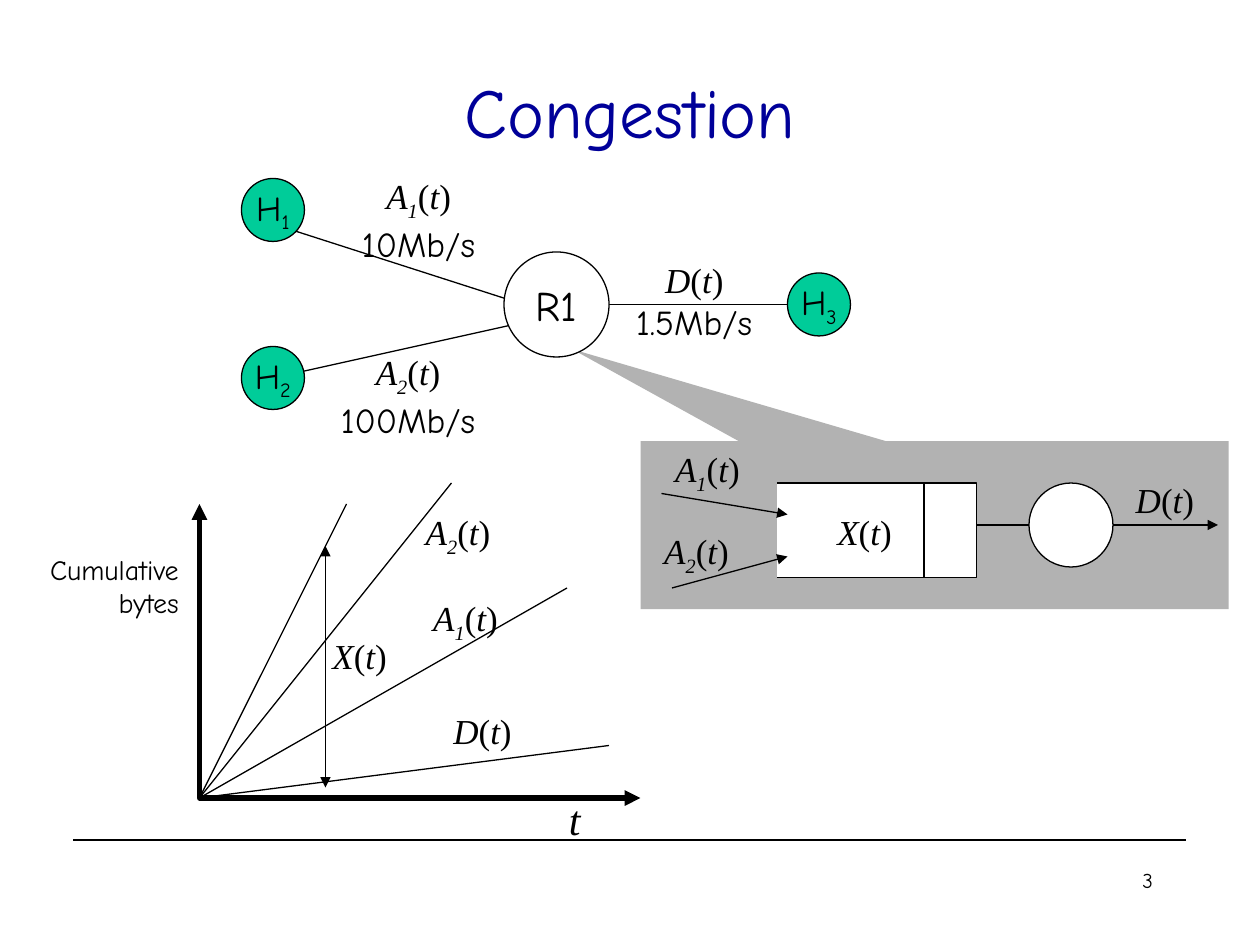
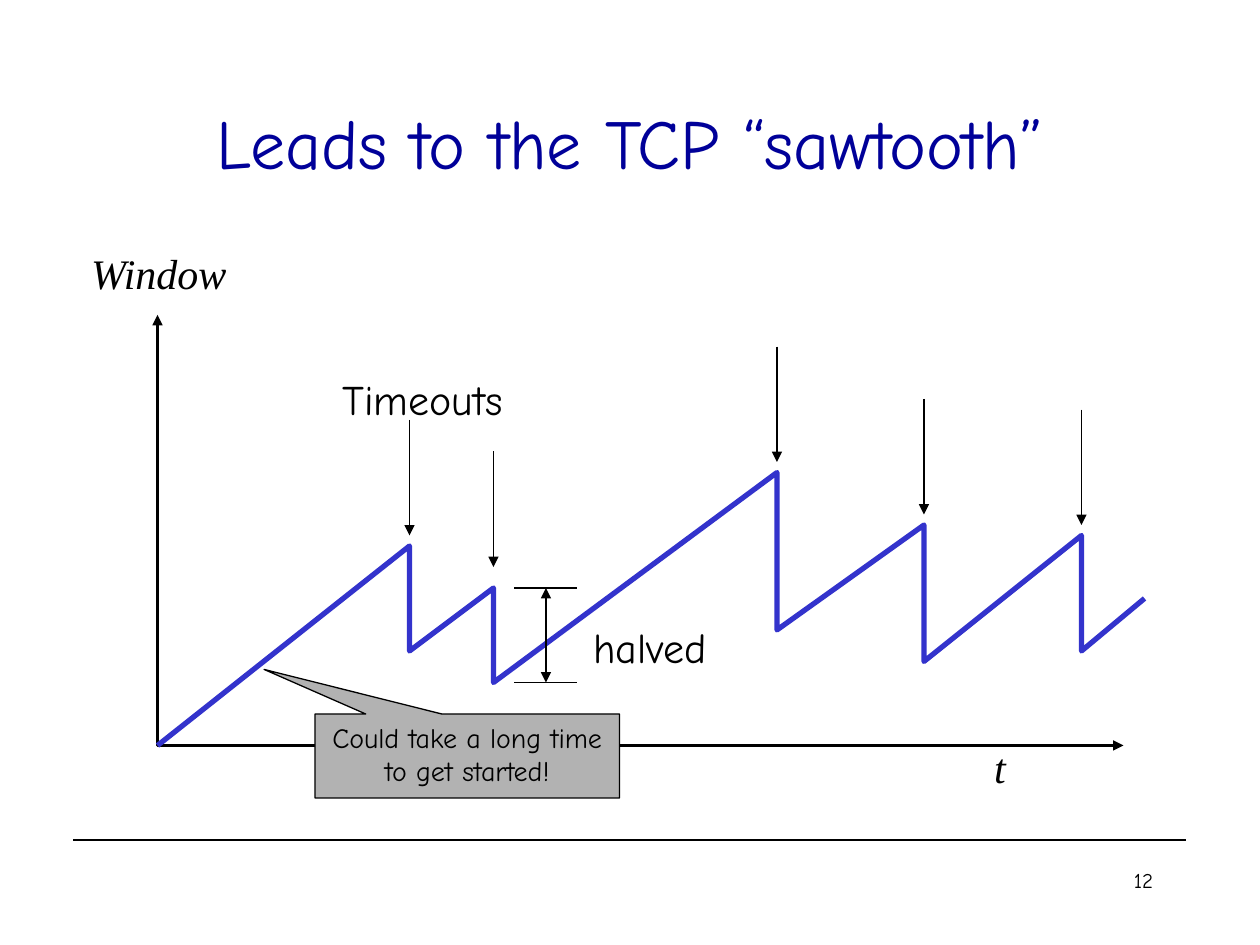
from dataclasses import dataclass

from lxml import etree
from pptx import Presentation
from pptx import util as u
from pptx.dml.color import RGBColor
from pptx.enum import shapes, text
from pptx.oxml import ns

COLORS = {
    "ink": "000000",
    "paper": "FFFFFF",
    "title": "000099",
    "host": "00CC99",
    "callout": "B2B2B2",
    "window": "3333CC",
}
HAND, SERIF = "Comic Neue", "Times New Roman"
HAIRLINE = 0.74
LEFT, CENTER, RIGHT = text.PP_ALIGN.LEFT, text.PP_ALIGN.CENTER, text.PP_ALIGN.RIGHT
TOP, MIDDLE = text.MSO_ANCHOR.TOP, text.MSO_ANCHOR.MIDDLE
CALLOUT = shapes.MSO_SHAPE.RECTANGULAR_CALLOUT
Point = tuple[float, float]


@dataclass(frozen=True)
class Run:
    words: str
    font: str = HAND
    italic: bool = False
    sub: bool = False


@dataclass(frozen=True)
class Label:
    lines: list[list[Run]]
    left: float
    top: float
    width: float
    height: float
    size: float = 20
    align: text.PP_ALIGN = CENTER


@dataclass(frozen=True)
class Node:
    name: str
    number: str
    left: float
    top: float
    diameter: float
    color: str = "host"
    size: float = 20


@dataclass(frozen=True)
class Wire:
    start: Point
    end: Point
    head: bool = False
    tail: bool = False


def signal(name: str, number: str = "") -> list[Run]:
    """A function of time such as A1(t), with an optional index."""
    index = [Run(number, SERIF, True, True)] if number else []
    return [Run(name, SERIF, True), *index, Run("(", SERIF),
            Run("t", SERIF, True), Run(")", SERIF)]


def rgb(color: str) -> RGBColor:
    return RGBColor.from_string(COLORS[color])


# Text
def write(frame, lines: list[list[Run]], *, size: float = 20, color: str = "ink",
          align=CENTER, anchor=TOP, wrap: bool = False) -> None:
    frame.word_wrap = wrap
    frame.vertical_anchor = anchor
    frame.margin_left = frame.margin_right = u.Pt(7.2)
    frame.margin_top = frame.margin_bottom = u.Pt(3.6)
    for number, line in enumerate(lines):
        paragraph = frame.add_paragraph() if number else frame.paragraphs[0]
        paragraph.alignment = align
        for piece in line:
            run = paragraph.add_run()
            run.text = piece.words
            run.font.name = piece.font
            run.font.size = u.Pt(size)
            run.font.italic = piece.italic
            run.font.color.rgb = rgb(color)
            if piece.sub:
                run.font._element.set("baseline", "-25000")


def add_text(slide, label: Label, wrap: bool = False, **style) -> None:
    box = slide.shapes.add_textbox(u.Pt(label.left), u.Pt(label.top),
                                   u.Pt(label.width), u.Pt(label.height))
    write(box.text_frame, label.lines, size=label.size, align=label.align,
          wrap=wrap, **style)
    if not wrap:
        box.text_frame.auto_size = text.MSO_AUTO_SIZE.SHAPE_TO_FIT_TEXT


# Lines and shapes
def style_line(line, color: str = "ink", width: float = HAIRLINE,
               head: bool = False, tail: bool = False) -> None:
    line.color.rgb = rgb(color)
    line.width = u.Pt(width)
    for wanted, tag in ((head, "a:headEnd"), (tail, "a:tailEnd")):
        if wanted:
            etree.SubElement(line._get_or_add_ln(), ns.qn(tag), type="triangle")


def add_wire(slide, wire: Wire) -> None:
    connector = slide.shapes.add_connector(
        shapes.MSO_CONNECTOR.STRAIGHT, *(u.Pt(v) for v in (*wire.start, *wire.end)))
    style_line(connector.line, head=wire.head, tail=wire.tail)
    etree.SubElement(connector._element.spPr, ns.qn("a:effectLst"))


def add_path(slide, points: list[Point], fill: str | None = None, **line) -> None:
    start, *rest = [(u.Pt(x), u.Pt(y)) for x, y in points]
    builder = slide.shapes.build_freeform(*start)
    builder.add_line_segments(rest, close=False)
    outline = builder.convert_to_shape()
    outline.shadow.inherit = False
    if fill:
        outline.fill.solid()
        outline.fill.fore_color.rgb = rgb(fill)
    else:
        outline.fill.background()
    style_line(outline.line, **line)


def add_axes(slide, top: float, origin: Point, right: float, width: float) -> None:
    x, y = origin
    add_path(slide, [(x, top), origin, (right, y)], width=width, head=True, tail=True)


def add_preset(slide, kind, left: float, top: float, width: float, height: float,
               fill: str, outlined: bool = True):
    shape = slide.shapes.add_shape(kind, u.Pt(left), u.Pt(top), u.Pt(width), u.Pt(height))
    shape.shadow.inherit = False
    shape.fill.solid()
    shape.fill.fore_color.rgb = rgb(fill)
    if outlined:
        style_line(shape.line)
    else:
        shape.line.fill.background()
    return shape


def add_callout(slide, *box: float, tip: Point, outlined: bool = True):
    callout = add_preset(slide, CALLOUT, *box, fill="callout", outlined=outlined)
    callout.adjustments[0], callout.adjustments[1] = tip
    return callout


def add_node(slide, node: Node) -> None:
    circle = add_preset(slide, shapes.MSO_SHAPE.OVAL, node.left, node.top,
                        node.diameter, node.diameter, node.color)
    if node.name:
        runs = [Run(node.name)] + ([Run(node.number, sub=True)] if node.number else [])
        write(circle.text_frame, [runs], size=node.size, anchor=MIDDLE)


def start_slide(deck, title: str, title_top: float, page: int):
    """Blank slide with the shared title, rule and page number."""
    slide = deck.slides.add_slide(deck.slide_layouts[6])
    add_wire(slide, Wire((42, 480), (678, 480)))
    add_text(slide, Label([[Run(title)]], 54, title_top, 612, 90, 40),
             color="title", anchor=MIDDLE, wrap=True)
    add_text(slide, Label([[Run(str(page))]], 516, 492, 150, 36, 12, RIGHT), wrap=True)
    return slide


def build_congestion(deck) -> None:
    slide = start_slide(deck, "Congestion", 18, 3)
    add_callout(slide, 366, 252, 336, 96, tip=(-0.616, -1.046), outlined=False)

    # Network: links below, nodes above
    router = (318, 180)
    for link in (Wire((150, 126), router), Wire((156, 216), router),
                 Wire((318, 174), (468, 174))):
        add_wire(slide, link)
    for node in (Node("H", "1", 138, 102, 36), Node("H", "2", 138, 198, 36),
                 Node("R1", "", 288, 144, 60, "paper", 24),
                 Node("H", "3", 450, 156, 36)):
        add_node(slide, node)

    # Router queue inside the callout
    add_path(slide, [(444, 276), (558, 276), (558, 330), (444, 330)], fill="paper")
    add_node(slide, Node("", "", 588, 276, 48, "paper"))
    for wire in (Wire((528, 276), (528, 330)),
                 Wire((378, 282), (450, 294), tail=True),
                 Wire((384, 336), (450, 318), tail=True),
                 Wire((636, 300), (696, 300), tail=True),
                 Wire((558, 300), (588, 300))):
        add_wire(slide, wire)

    # Cumulative bytes over time
    origin = (114, 456)
    add_axes(slide, 288, origin, 366, 3)
    for ray_end in ((324, 336), (198, 288), (348, 426), (258, 276)):
        add_wire(slide, Wire(origin, ray_end))
    add_wire(slide, Wire((186, 312), (186, 450), head=True, tail=True))

    # Labels
    arrivals_1, arrivals_2 = signal("A", "1"), signal("A", "2")
    backlog, departures = signal("X"), signal("D")
    for label in (
        Label([arrivals_1, [Run("10Mb/s")]], 198.7, 96, 81, 59),
        Label([departures, [Run("1.5Mb/s")]], 355.2, 144, 83, 55.5),
        Label([arrivals_2, [Run("100Mb/s")]], 186.7, 196.8, 93, 59),
        Label([arrivals_1], 377.2, 252, 54, 34.5),
        Label([arrivals_2], 371, 299, 54, 34.5),
        Label([backlog], 470, 288, 48, 31.5),
        Label([departures], 640.7, 270, 50, 31.5),
        Label([arrivals_1], 239, 337.2, 54, 34.5),
        Label([arrivals_2], 234.7, 288, 54, 34.5),
        Label([departures], 250.7, 402, 50, 31.5),
        Label([backlog], 181.5, 358.8, 48, 31.5),
        Label([[Run("Cumulative")], [Run("bytes")]], 21.3, 312, 88, 46, 16, RIGHT),
        Label([[Run("t", SERIF, True)]], 318, 450, 21, 36, 24, LEFT),
    ):
        add_text(slide, label)


def build_sawtooth(deck) -> None:
    slide = start_slide(deck, "Leads to the TCP “sawtooth”", 36, 12)

    # Axes and window size
    origin = (90, 426)
    add_axes(slide, 180, origin, 642, 1.5)
    teeth = [(234, 312, 372), (282, 336, 390), (444, 270, 360),
             (528, 300, 378), (618, 306, 372)]
    drops = [point for x, peak, low in teeth for point in ((x, peak), (x, low))]
    add_path(slide, [origin, *drops, (654, 342)], color="window", width=3)

    # Height of one drop
    _, peak, low = teeth[1]
    for y in (low, peak):
        add_wire(slide, Wire((294, y), (330, y)))
    add_wire(slide, Wire((312, peak), (312, low), head=True, tail=True))

    # Timeout arrows, each just above its peak
    for (x, peak, _), gap in zip(teeth, (6, 12, 6, 6, 6)):
        add_wire(slide, Wire((x, peak - gap - 66), (x, peak - gap), tail=True))

    # Labels
    for words, font, left, top, width in (
        ("t", SERIF, 561, 420, 21),
        ("Window", SERIF, 45, 138, 93),
        ("halved", HAND, 332, 351.5, 79),
        ("Timeouts", HAND, 188.5, 210, 106),
    ):
        run = Run(words, font, italic=font == SERIF)
        add_text(slide, Label([[run]], left, top, width, 36, 24, LEFT))
    remark = add_callout(slide, 180, 408, 174, 48, tip=(-0.667, -1.031))
    write(remark.text_frame, [[Run("Could take a long time to get started!")]],
          size=16, wrap=True)


def main() -> None:
    deck = Presentation()
    deck.slide_width, deck.slide_height = u.Pt(720), u.Pt(540)
    build_congestion(deck)
    build_sawtooth(deck)
    deck.save("out.pptx")


if __name__ == "__main__":
    main()
